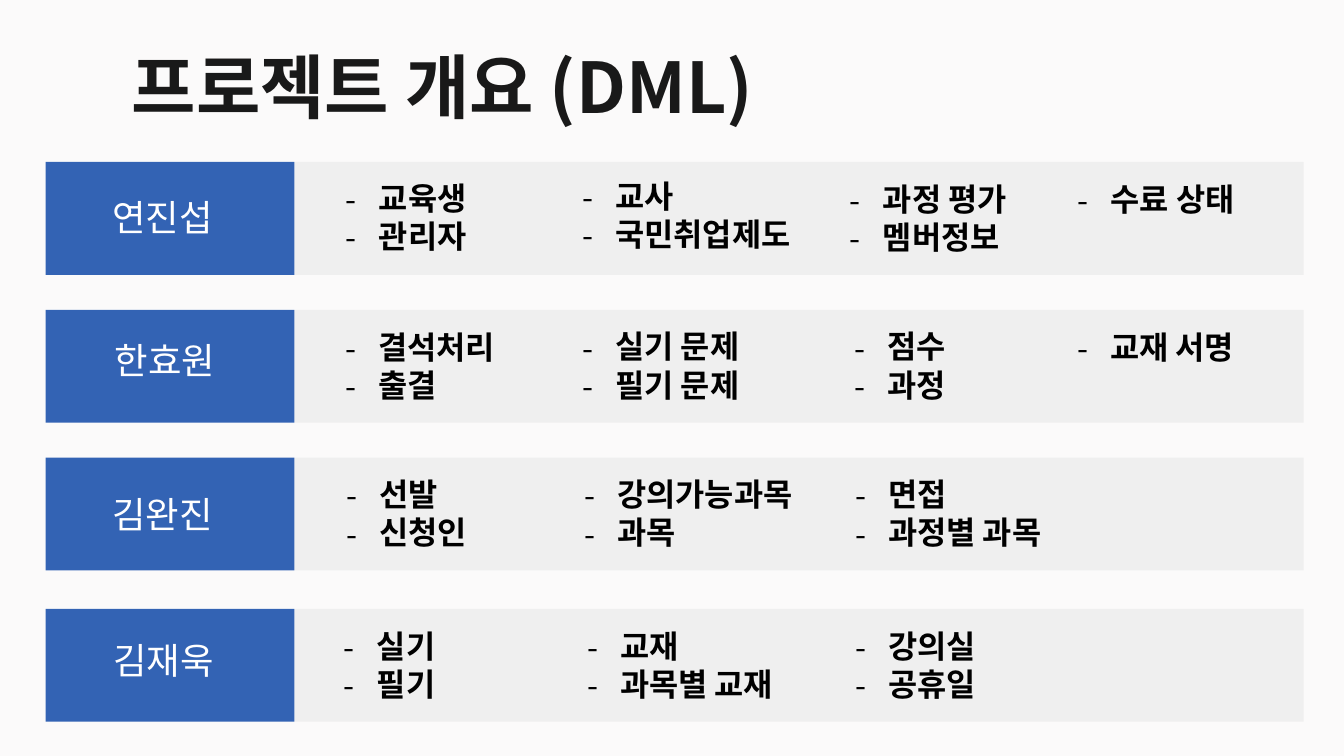
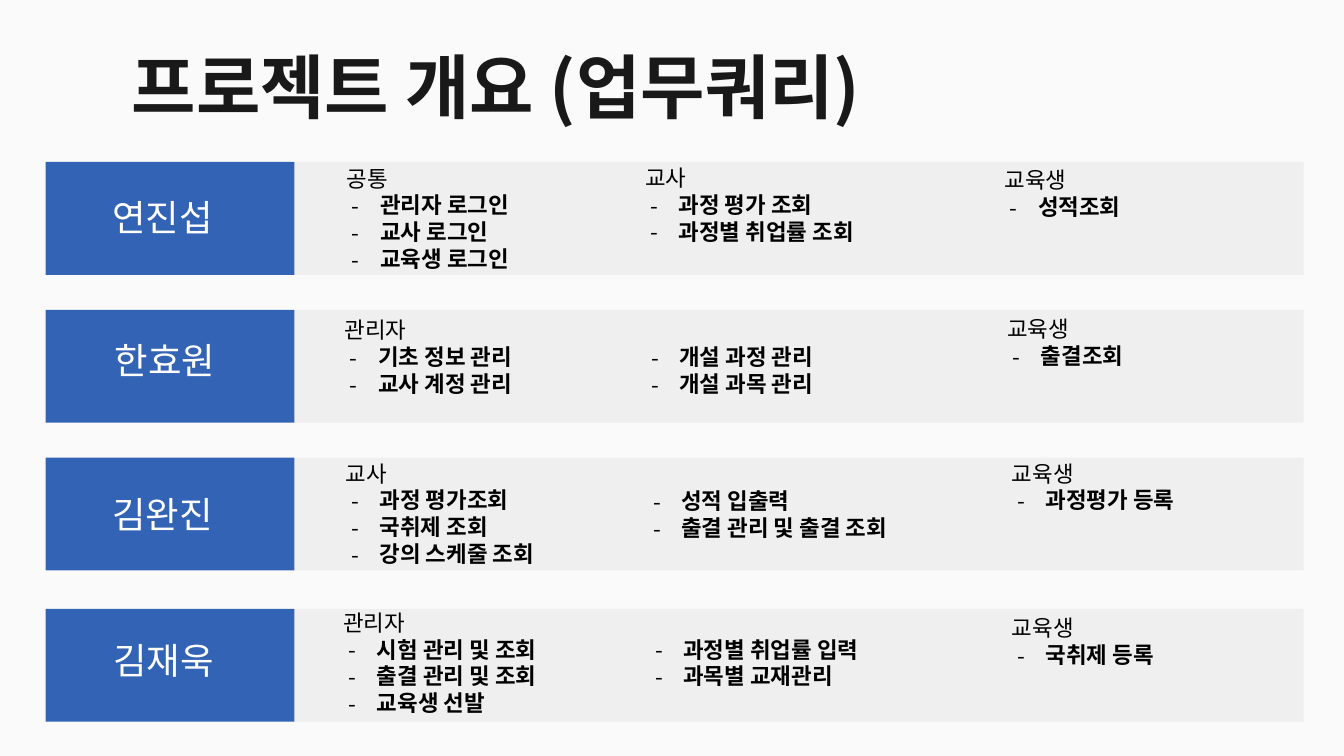
"""Build two project overview slides: four members and their assigned items."""
from lxml import etree
from pptx import Presentation
from pptx.dml.color import RGBColor
from pptx.enum.shapes import MSO_SHAPE
from pptx.enum.text import MSO_ANCHOR, MSO_AUTO_SIZE, PP_ALIGN
from pptx.oxml.ns import qn
from pptx.util import Inches, Pt

RECTANGLE = MSO_SHAPE.RECTANGLE
TOP = MSO_ANCHOR.TOP
GROW = MSO_AUTO_SIZE.SHAPE_TO_FIT_TEXT
LEFT = PP_ALIGN.LEFT

FONT = "Noto Sans CJK KR"
PAPER, INK, BLACK, WHITE = "FBFAFA", "191919", "000000", "FFFFFF"
BLUE, GREY = "3363B4", "EFEFEF"
TITLE_ONLY = 5
PADDING = 0.1
LINE_PER_POINT = 0.0169

BAND_TOPS = [2.41, 4.61, 6.81, 9.06]
BAND_HEIGHT = 1.68
MEMBERS = [
    ("연진섭", 1.57, 2.81),
    ("한효원", 1.61, 4.93),
    ("김완진", 1.57, 7.22),
    ("김재욱", 1.59, 9.39),
]

# Each list: left, top, width, heading, items
DML_LISTS = [
    (5.04, 2.56, 6.85, None, ["교육생", "관리자"]),
    (8.56, 2.53, 4.75, None, ["교사", "국민취업제도"]),
    (12.54, 2.58, 3.28, None, ["과정 평가", "멤버정보"]),
    (15.93, 2.57, 3.28, None, ["수료 상태"]),
    (5.03, 4.78, 4.06, None, ["결석처리", "출결"]),
    (8.56, 4.77, 4.06, None, ["실기 문제", "필기 문제"]),
    (12.61, 4.77, 3.12, None, ["점수", "과정"]),
    (15.92, 4.78, 3.28, None, ["교재 서명"]),
    (5.05, 6.97, 3.8, None, ["선발", "신청인"]),
    (8.59, 6.97, 4.75, None, ["강의가능과목", "과목"]),
    (12.62, 6.97, 3.28, None, ["면접", "과정별 과목"]),
    (5.01, 9.23, 4.3, None, ["실기", "필기"]),
    (8.63, 9.23, 4.13, None, ["교재", "과목별 교재"]),
    (12.62, 9.23, 3.28, None, ["강의실", "공휴일"]),
]
QUERY_LISTS = [
    (5.06, 2.35, 3.8, "공통", ["관리자 로그인", "교사 로그인", "교육생 로그인"]),
    (9.5, 2.34, 8.45, "교사", ["과정 평가 조회", "과정별 취업률 조회"]),
    (14.85, 2.37, 4.38, "교육생", ["성적조회"]),
    (5.03, 4.61, 4.06, "관리자", ["기초 정보 관리", "교사 계정 관리"]),
    (9.51, 5.01, 3.7, None, ["개설 과정 관리", "개설 과목 관리"]),
    (14.89, 4.59, 4.38, "교육생", ["출결조회"]),
    (5.05, 6.74, 3.8, "교사", ["과정 평가조회", "국취제 조회", "강의 스케줄 조회"]),
    (9.54, 7.15, 4.75, None, ["성적 입출력", "출결 관리 및 출결 조회"]),
    (14.96, 6.74, 4.38, "교육생", ["과정평가 등록"]),
    (5.01, 8.96, 4.3, "관리자", ["시험 관리 및 조회", "출결 관리 및 조회", "교육생 선발"]),
    (9.57, 9.36, 4.13, None, ["과정별 취업률 입력", "과목별 교재관리"]),
    (14.96, 9.04, 4.38, "교육생", ["국취제 등록"]),
]


def paint(target, color):
    target.solid()
    target.fore_color.rgb = RGBColor.from_string(color)


def write(paragraph, text, *, size, color=BLACK, bold=False):
    run = paragraph.add_run()
    run.text = text
    run.font.name = FONT
    run.font.size = Pt(size)
    run.font.bold = bold
    paint(run.font.fill, color)
    etree.SubElement(run._r.get_or_add_rPr(), qn("a:ea"), typeface=FONT)


def set_frame(frame, padding):
    frame.word_wrap = True
    frame.auto_size = GROW
    frame.vertical_anchor = TOP
    frame.margin_left = frame.margin_right = Inches(padding)
    frame.margin_top = frame.margin_bottom = Inches(padding)


def add_dash(paragraph, hanging):
    properties = paragraph._p.get_or_add_pPr()
    properties.set("marL", str(Inches(0.5)))
    properties.set("indent", str(-Inches(hanging)))
    dash_color = etree.SubElement(properties, qn("a:buClr"))
    etree.SubElement(dash_color, qn("a:srgbClr"), val=BLACK)
    etree.SubElement(properties, qn("a:buFont"), typeface=FONT)
    etree.SubElement(properties, qn("a:buChar"), char="-")


def add_text_frame(slide, left, top, width, height):
    box = slide.shapes.add_textbox(Inches(left), Inches(top), Inches(width), Inches(height))
    set_frame(box.text_frame, PADDING)
    return box.text_frame


def add_title(slide, text):
    title = slide.shapes.title
    title.left, title.top = Inches(1.96), Inches(0.4)
    title.width, title.height = Inches(14.22), Inches(1.26)
    set_frame(title.text_frame, 0)
    paragraph = title.text_frame.paragraphs[0]
    paragraph.alignment = LEFT
    paragraph.line_spacing = 1.2
    write(paragraph, text, size=75, color=INK, bold=True)


def add_band(slide, left, top, width, color):
    band = slide.shapes.add_shape(
        RECTANGLE, Inches(left), Inches(top), Inches(width), Inches(BAND_HEIGHT))
    band.shadow.inherit = False
    band.line.fill.background()
    paint(band.fill, color)


def add_member(slide, name, left, top):
    frame = add_text_frame(slide, left, top, 2.16, 0.86)
    write(frame.paragraphs[0], name, size=39, color=WHITE)


def add_list(slide, left, top, width, heading, items, *, size, hanging):
    lines = ([heading] if heading else []) + items
    height = 2 * PADDING + len(lines) * size * LINE_PER_POINT
    frame = add_text_frame(slide, left, top, width, height)
    for index, line in enumerate(lines):
        paragraph = frame.add_paragraph() if index else frame.paragraphs[0]
        is_item = index > 0 or not heading
        if is_item:
            add_dash(paragraph, hanging)
        write(paragraph, line, size=size, bold=is_item)


def add_overview(deck, title, lists, *, size, hanging):
    slide = deck.slides.add_slide(deck.slide_layouts[TITLE_ONLY])
    add_title(slide, title)
    for top in BAND_TOPS:
        add_band(slide, 4.38, top, 15.02, GREY)
        add_band(slide, 0.68, top, 3.7, BLUE)
    for member in MEMBERS:
        add_member(slide, *member)
    for entry in lists:
        add_list(slide, *entry, size=size, hanging=hanging)


def main():
    deck = Presentation()
    deck.slide_width, deck.slide_height = Inches(20), Inches(11.25)
    paint(deck.slide_master.background.fill, PAPER)
    add_overview(deck, "프로젝트 개요 (DML)", DML_LISTS, size=34, hanging=0.49)
    add_overview(deck, "프로젝트 개요 (업무쿼리)", QUERY_LISTS, size=24, hanging=0.42)
    deck.save("out.pptx")


if __name__ == "__main__":
    main()
